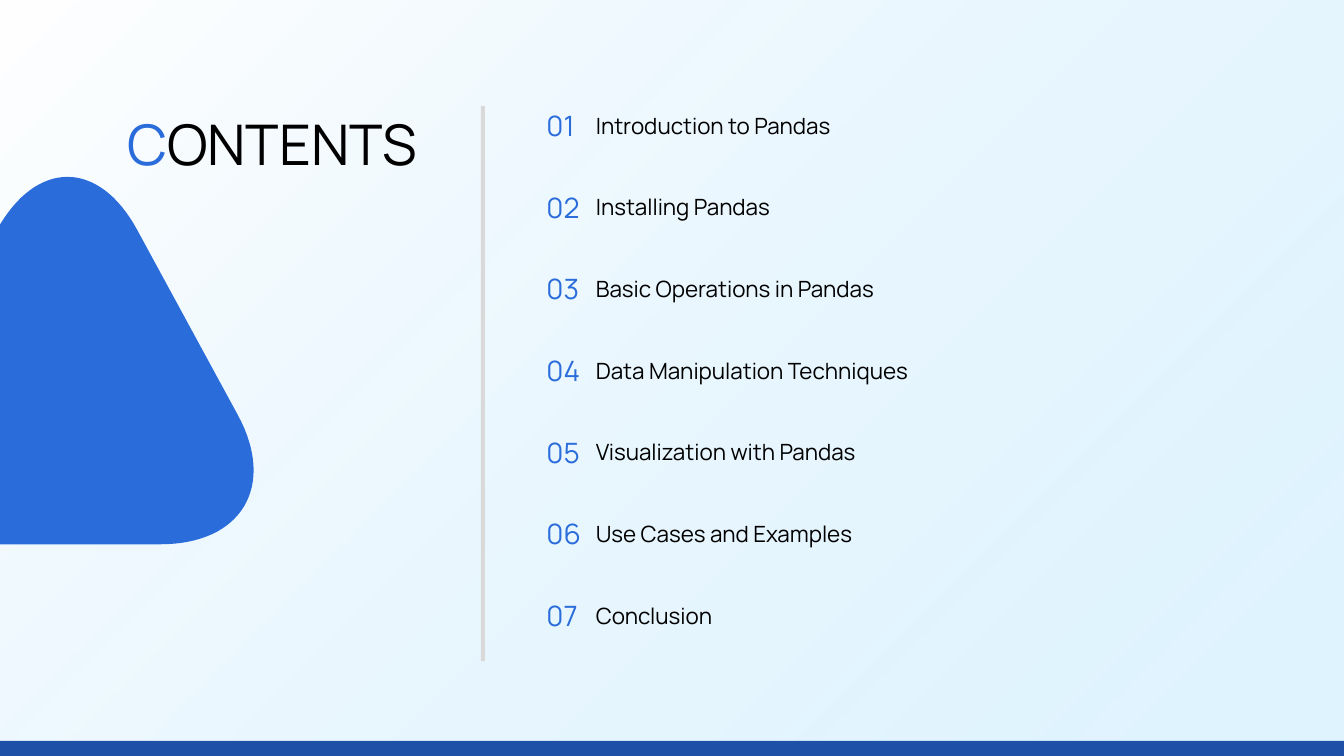
"""Build the contents slide of a Pandas presentation."""
from dataclasses import dataclass

import lxml.etree
import pptx
import pptx.dml.color
import pptx.enum.shapes
import pptx.enum.text
import pptx.oxml.ns
import pptx.shapes.autoshape
import pptx.slide
import pptx.util

PX = 9144
WIDTH, HEIGHT = 1333, 750
FONT = "Manrope"
BLUE, NAVY, GREY, BLACK = "2A6CDA", "1D50A6", "D9D9D9", "000000"
WHITE, SKY = "FFFFFF", "CBEDFF"
SKY_ALPHA = 61
FIRST_TOP, ROW_STEP = 101, 81
CURVE_STEPS = 32

Point = tuple[float, float]


@dataclass(frozen=True)
class Box:
    """A rectangle in px."""
    left: int
    top: int
    width: int
    height: int

    def emu(self) -> tuple[int, int, int, int]:
        """Return the rectangle in EMU."""
        return self.left * PX, self.top * PX, self.width * PX, self.height * PX


@dataclass(frozen=True)
class Corner:
    """A rounded corner given by the four control points of a cubic curve."""
    start: Point
    leave: Point
    arrive: Point
    end: Point

    def points(self) -> list[Point]:
        """Return evenly stepped points along the curve in EMU."""
        controls = (self.start, self.leave, self.arrive, self.end)
        result = []
        for i in range(CURVE_STEPS + 1):
            t = i / CURVE_STEPS
            u = 1 - t
            weights = (u ** 3, 3 * u * u * t, 3 * u * t * t, t ** 3)
            x, y = (sum(w * c[axis] for w, c in zip(weights, controls)) for axis in (0, 1))
            result.append((x * PX, y * PX))
        return result


@dataclass(frozen=True)
class Entry:
    """A numbered line of the contents."""
    number: int
    title: str


ENTRIES = [Entry(i, title) for i, title in enumerate((
    "Introduction to Pandas",
    "Installing Pandas",
    "Basic Operations in Pandas",
    "Data Manipulation Techniques",
    "Visualization with Pandas",
    "Use Cases and Examples",
    "Conclusion",
), start=1)]

TRIANGLE = [
    Corner((159, 540), (240, 540), (274, 482), (236, 412)),
    Corner((136, 228), (98, 158), (36, 158), (-3, 228)),
    Corner((-102, 412), (-140, 483), (-106, 540), (-26, 540)),
]


def rgb(value: str) -> pptx.dml.color.RGBColor:
    """Turn a hex string into a colour."""
    return pptx.dml.color.RGBColor.from_string(value)


def paint(s: pptx.shapes.autoshape.Shape, color: str) -> None:
    """Give a shape a plain fill without line or shadow."""
    s.shadow.inherit = False
    s.line.fill.background()
    s.fill.solid()
    s.fill.fore_color.rgb = rgb(color)


def add_rect(slide: pptx.slide.Slide, box: Box, color: str) -> pptx.shapes.autoshape.Shape:
    """Add a filled rectangle."""
    s = slide.shapes.add_shape(pptx.enum.shapes.MSO_SHAPE.RECTANGLE, *box.emu())
    paint(s, color)
    return s


def add_backdrop(slide: pptx.slide.Slide) -> None:
    """Cover the slide with a diagonal gradient."""
    s = add_rect(slide, Box(0, 0, WIDTH, HEIGHT), WHITE)
    s.fill.gradient()
    s.fill.gradient_angle = 315
    for stop, color in zip(s.fill.gradient_stops, (WHITE, SKY)):
        stop.color.rgb = rgb(color)
    qn = pptx.oxml.ns.qn
    sky = list(s.element.spPr.iter(qn("a:srgbClr")))[-1]
    lxml.etree.SubElement(sky, qn("a:alpha")).set("val", str(SKY_ALPHA * 1000))


def add_triangle(slide: pptx.slide.Slide, corners: list[Corner]) -> None:
    """Add the rounded triangle."""
    points = [point for corner in corners for point in corner.points()]
    builder = slide.shapes.build_freeform(*points[0])
    builder.add_line_segments(points[1:], close=True)
    paint(builder.convert_to_shape(), BLUE)


def add_text(
    slide: pptx.slide.Slide,
    box: Box,
    *runs: tuple[str, str],
    size: int,
    anchor: pptx.enum.text.MSO_ANCHOR = pptx.enum.text.MSO_ANCHOR.MIDDLE,
    align: pptx.enum.text.PP_ALIGN = pptx.enum.text.PP_ALIGN.LEFT,
) -> None:
    """Add one paragraph made of text and colour pairs."""
    tf = slide.shapes.add_textbox(*box.emu()).text_frame
    tf.word_wrap = True
    tf.vertical_anchor = anchor
    tf.margin_left = tf.margin_top = tf.margin_right = tf.margin_bottom = 0
    p = tf.paragraphs[0]
    p.alignment = align
    for text, color in runs:
        r = p.add_run()
        r.text = text
        r.font.name = FONT
        r.font.size = pptx.util.Pt(size)
        r.font.color.rgb = rgb(color)


def add_entry(slide: pptx.slide.Slide, entry: Entry) -> None:
    """Add the number and title of one contents line."""
    top = FIRST_TOP + (entry.number - 1) * ROW_STEP
    add_text(slide, Box(542, top, 46, 47), (f"{entry.number:02d}", BLUE), size=20)
    add_text(slide, Box(591, top + 10, 650, 71), (entry.title, BLACK), size=16,
             anchor=pptx.enum.text.MSO_ANCHOR.TOP)


def main() -> None:
    """Build and save the slide."""
    prs = pptx.Presentation()
    prs.slide_width, prs.slide_height = WIDTH * PX, HEIGHT * PX
    slide = prs.slides.add_slide(prs.slide_layouts[6])
    add_backdrop(slide)
    add_triangle(slide, TRIANGLE)
    add_rect(slide, Box(0, 735, WIDTH, 15), NAVY)
    add_rect(slide, Box(477, 105, 4, 551), GREY)
    for entry in ENTRIES:
        add_entry(slide, entry)
    add_text(slide, Box(78, 118, 336, 47), ("C", BLUE), ("ONTENTS", BLACK), size=40,
             align=pptx.enum.text.PP_ALIGN.RIGHT)
    prs.save("out.pptx")


if __name__ == "__main__":
    main()
